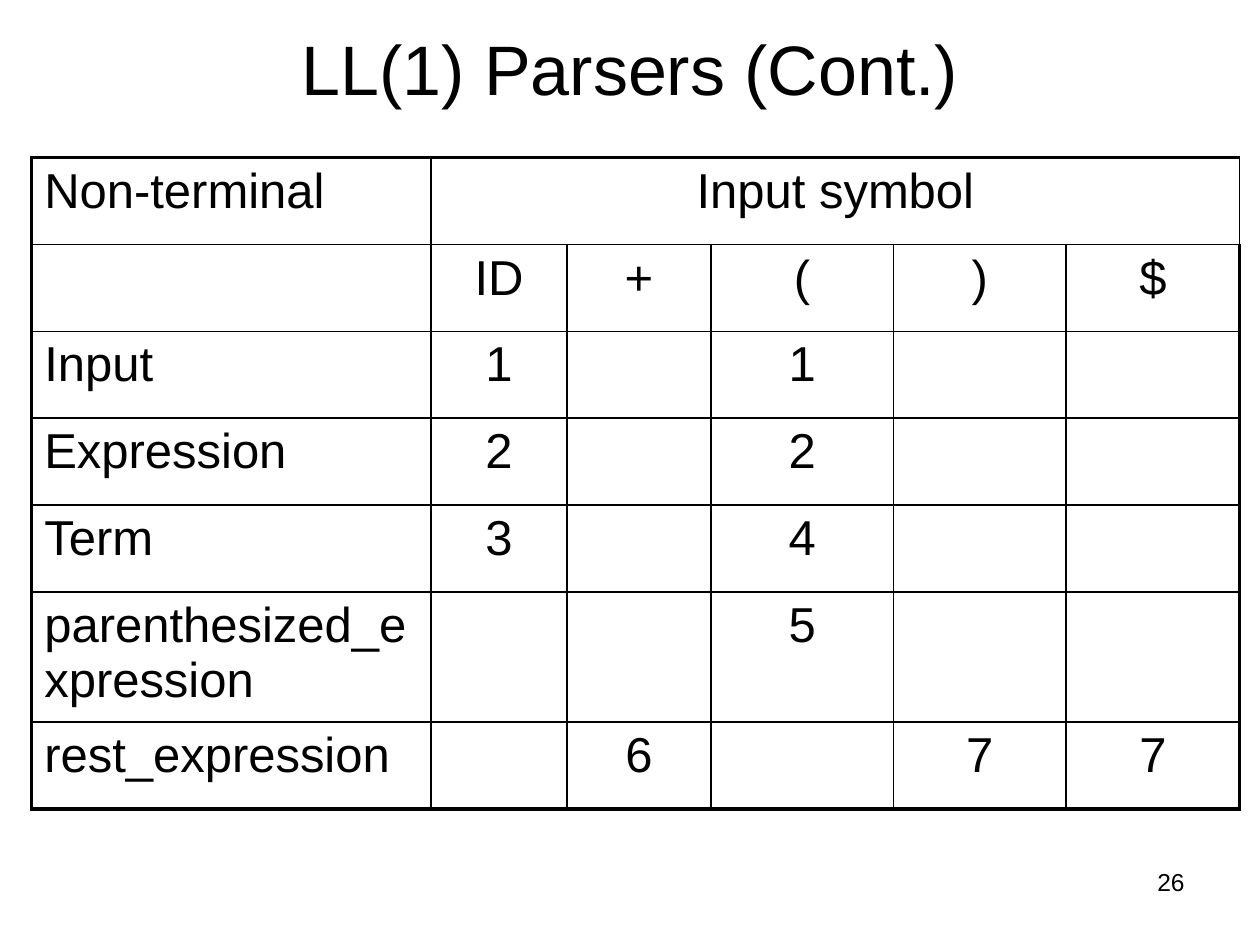
from lxml import etree
from pptx import Presentation, util as u
from pptx.dml.color import RGBColor
from pptx.enum import text
from pptx.oxml.ns import qn

COLORS = {"ink": "000000", "paper": "FFFFFF"}
LEFT, CENTER, RIGHT = text.PP_ALIGN.LEFT, text.PP_ALIGN.CENTER, text.PP_ALIGN.RIGHT

COL_WIDTHS = [8.05, 2.74, 2.9, 3.68, 3.48, 3.5]
ROW_HEIGHTS = [1.75] * 5 + [2.62, 1.75]
ROWS = [
    ["Non-terminal", "Input symbol", "", "", "", ""],
    ["", "ID", "+", "(", ")", "$"],
    ["Input", "1", "", "1", "", ""],
    ["Expression", "2", "", "2", "", ""],
    ["Term", "3", "", "4", "", ""],
    ["parenthesized_expression", "", "", "5", "", ""],
    ["rest_expression", "", "6", "", "7", "7"],
]


def write(tf, words, size=28, align=LEFT, font="Arial", color="ink"):
    p = tf.paragraphs[0]
    p.alignment = align
    r = p.add_run()
    r.text = words
    r.font.name = font
    r.font.size = u.Pt(size)
    r.font.color.rgb = RGBColor.from_string(COLORS[color])


class Deck:
    thin, thick = 1, 2.25

    def __init__(self, width, height):
        self.prs = Presentation()
        self.prs.slide_width, self.prs.slide_height = u.Cm(width), u.Cm(height)
        self.s = None

    def add_slide(self):
        self.s = self.prs.slides.add_slide(self.prs.slide_layouts[6])
        fill = self.s.background.fill
        fill.solid()
        fill.fore_color.rgb = RGBColor.from_string(COLORS["paper"])

    def text_box(self, words, x, y, w, h, anchor=text.MSO_ANCHOR.TOP, **fmt):
        tf = self.s.shapes.add_textbox(u.Cm(x), u.Cm(y), u.Cm(w), u.Cm(h)).text_frame
        tf.word_wrap = True
        tf.vertical_anchor = anchor
        write(tf, words, **fmt)

    def border(self, cell, side, width):
        """Draw one cell edge; side is L, R, T or B."""
        ln = etree.SubElement(cell._tc.get_or_add_tcPr(), qn(f"a:ln{side}"),
                              w=str(u.Pt(width)))
        fill = etree.SubElement(ln, qn("a:solidFill"))
        etree.SubElement(fill, qn("a:srgbClr"), val=COLORS["ink"])

    def table(self, rows, x, y, widths, heights):
        """Add a plain grid with a thick frame; the first column is left-aligned."""
        last_row, last_col = len(heights) - 1, len(widths) - 1
        tbl = self.s.shapes.add_table(len(heights), len(widths), u.Cm(x), u.Cm(y),
                                      u.Cm(sum(widths)), u.Cm(sum(heights))).table
        tbl.first_row = tbl.horz_banding = False
        for col, w in zip(tbl.columns, widths):
            col.width = u.Cm(w)
        for row, h in zip(tbl.rows, heights):
            row.height = u.Cm(h)
        for i, row in enumerate(rows):
            for j, words in enumerate(row):
                cell = tbl.cell(i, j)
                outer = {"L": j == 0, "R": j == last_col, "T": i == 0, "B": i == last_row}
                for side, is_frame in outer.items():
                    self.border(cell, side, self.thick if is_frame else self.thin)
                cell.fill.background()
                if words:
                    write(cell.text_frame, words, align=CENTER if j else LEFT)
        return tbl


def main():
    deck = Deck(25.4, 19.05)
    deck.add_slide()
    deck.text_box("26", 18.2, 17.35, 5.93, 1.32, size=14, align=RIGHT)
    deck.text_box("LL(1) Parsers (Cont.)", 1.27, 0.76, 22.86, 1.57,
                  anchor=text.MSO_ANCHOR.BOTTOM, size=40, align=CENTER)
    tbl = deck.table(ROWS, 0.64, 3.18, COL_WIDTHS, ROW_HEIGHTS)
    tbl.cell(0, 1).merge(tbl.cell(0, len(COL_WIDTHS) - 1))
    deck.prs.save("out.pptx")


if __name__ == "__main__":
    main()
